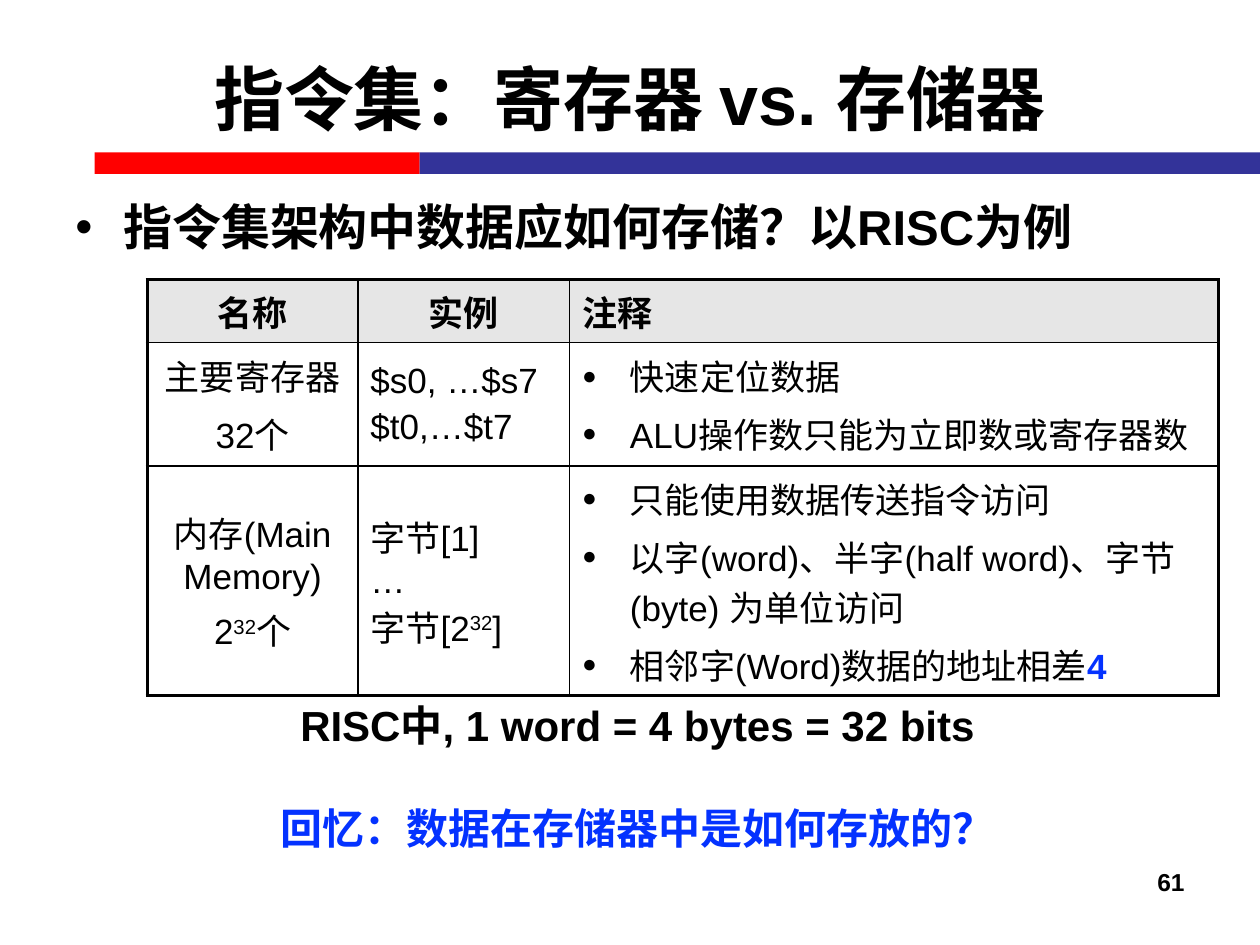
"""Build the slide on registers and memory in an instruction set."""
import pptx
import pptx.chart.data
import pptx.dml.color
import pptx.enum.shapes
import pptx.enum.text
import pptx.util
from lxml import etree

BLACK, BLUE, GREY = "000000", "0432FF", "E6E6E6"
WIDTH, HEIGHT = 10, 7.5
MARGIN, INDENT = 0.5, 0.38
LEFT, CENTER, RIGHT = (pptx.enum.text.PP_ALIGN.LEFT, pptx.enum.text.PP_ALIGN.CENTER,
                       pptx.enum.text.PP_ALIGN.RIGHT)
DRAWING = "http://schemas.openxmlformats.org/drawingml/2006/main"

TITLE = "指令集：寄存器 vs. 存储器"
QUESTION = "指令集架构中数据应如何存储？以RISC为例"
BAR_TOP, BAR_HEIGHT, BAR_START = 1.21, 0.17, 0.75
BARS = [("FF0000", 2.58), ("333399", 6.67)]

POWER = ("32", {"raised": True})
STORAGE = [
    [["名称"], ["实例"], ["注释"]],
    [["主要寄存器", "32个"],
     ["$s0, …$s7", "$t0,…$t7"],
     ["快速定位数据", "ALU操作数只能为立即数或寄存器数"]],
    [["内存(Main Memory)", ["2", POWER, "个"]],
     ["字节[1]", "…", ["字节[2", POWER, "]"]],
     ["只能使用数据传送指令访问",
      "以字(word)、半字(half word)、字节(byte) 为单位访问",
      ["相邻字(Word)数据的地址相差", ("4", {"color": BLUE, "bold": True})]]],
]
COLUMNS, ROWS = [1.67, 1.68, 5.15], [0.5, 0.98, 1.82]
TABLE_LEFT, TABLE_TOP = 1.17, 2.22
OUTER, INNER = 2.25, 1

NOTES = [
    ("RISC中, 1 word = 4 bytes = 32 bits", (TABLE_LEFT, 5.5, 7.78, 0.5), 24, BLACK, CENTER),
    ("回忆：数据在存储器中是如何存放的？", (TABLE_LEFT, 6.32, 7.78, 0.5), 24, BLUE, CENTER),
    ("61", (7.17, 6.83, 2.33, 0.52), 14, BLACK, RIGHT),
]


def inches(*lengths):
    """Convert lengths to slide units."""
    return [pptx.util.Inches(length) for length in lengths]


def rgb(color):
    """Turn a hex string into a colour."""
    return pptx.dml.color.RGBColor.from_string(color)


def add_bullet(paragraph, char, percent):
    """Give a paragraph a hanging bullet."""
    properties = paragraph._p.get_or_add_pPr()
    indent = inches(INDENT)[0]
    properties.set("marL", str(indent))
    properties.set("indent", str(-indent))
    color = etree.SubElement(properties, f"{{{DRAWING}}}buClr")
    etree.SubElement(color, f"{{{DRAWING}}}srgbClr", val=BLACK)
    etree.SubElement(properties, f"{{{DRAWING}}}buSzPct", val=str(percent * 1000))
    etree.SubElement(properties, f"{{{DRAWING}}}buFont", typeface="Arial")
    etree.SubElement(properties, f"{{{DRAWING}}}buChar", char=char)


def write(frame, paragraphs, size=20, color=BLACK, bold=False, align=LEFT,
          bullet=None, percent=100, before=0, spacing=None):
    """Fill a text frame with formatted paragraphs."""
    frame.word_wrap = True
    for index, content in enumerate(paragraphs):
        paragraph = frame.add_paragraph() if index else frame.paragraphs[0]
        paragraph.alignment = align
        if bullet:
            add_bullet(paragraph, bullet, percent)
        if index and before:
            paragraph.space_before = pptx.util.Pt(before)
        if spacing:
            paragraph.line_spacing = spacing
        for part in [content] if isinstance(content, str) else content:
            text, special = (part, {}) if isinstance(part, str) else part
            run = paragraph.add_run()
            run.text = text
            run.font.name = "Arial"
            run.font.size = pptx.util.Pt(size)
            run.font.bold = special.get("bold", bold)
            run.font.color.rgb = rgb(special.get("color", color))
            if special.get("raised"):
                run.font._element.set("baseline", "30000")


def add_borders(cell, widths):
    """Draw the left, right, top and bottom lines of a cell."""
    properties = cell._tc.get_or_add_tcPr()
    for side, width in zip("LRTB", widths):
        line = etree.SubElement(properties, f"{{{DRAWING}}}ln{side}",
                                w=str(pptx.util.Pt(width)))
        fill = etree.SubElement(line, f"{{{DRAWING}}}solidFill")
        etree.SubElement(fill, f"{{{DRAWING}}}srgbClr", val=BLACK)


def add_storage_table(slide):
    """Add the table comparing registers and memory."""
    last_row, last_column = len(ROWS) - 1, len(COLUMNS) - 1
    table = slide.shapes.add_table(
        len(ROWS), len(COLUMNS),
        *inches(TABLE_LEFT, TABLE_TOP, sum(COLUMNS), sum(ROWS))).table
    table.first_row = table.horz_banding = False
    for column, width in zip(table.columns, inches(*COLUMNS)):
        column.width = width
    for row, height in zip(table.rows, inches(*ROWS)):
        row.height = height
    for r, row in enumerate(STORAGE):
        for c, paragraphs in enumerate(row):
            cell, header = table.cell(r, c), r == 0
            edges = (c == 0, c == last_column, r == 0, r == last_row)
            add_borders(cell, [OUTER if edge else INNER for edge in edges])
            cell.vertical_anchor = pptx.enum.text.MSO_ANCHOR.MIDDLE
            if header:
                cell.fill.solid()
                cell.fill.fore_color.rgb = rgb(GREY)
            else:
                cell.fill.background()
            centered = c == 0 or (header and c < last_column)
            listed = c == last_column and not header
            write(cell.text_frame, paragraphs, bold=header,
                  align=CENTER if centered else LEFT,
                  bullet="●" if listed else None, percent=70,
                  before=0 if (r, c) == (2, 1) else 4)


def main():
    """Build and save the slide."""
    deck = pptx.Presentation()
    deck.slide_width, deck.slide_height = inches(WIDTH, HEIGHT)
    slide = deck.slides.add_slide(deck.slide_layouts[5])

    bar_left = BAR_START
    for color, width in BARS:
        bar = slide.shapes.add_shape(pptx.enum.shapes.MSO_SHAPE.RECTANGLE,
                                     *inches(bar_left, BAR_TOP, width, BAR_HEIGHT))
        bar.shadow.inherit = False
        bar.fill.solid()
        bar.fill.fore_color.rgb = rgb(color)
        bar.line.fill.background()
        bar_left += width

    title = slide.shapes.title
    title.left, title.top, title.width, title.height = inches(
        MARGIN, 0.15, WIDTH - 2 * MARGIN, 1.25)
    title.text_frame.vertical_anchor = pptx.enum.text.MSO_ANCHOR.MIDDLE
    write(title.text_frame, [TITLE], size=40, bold=True, align=CENTER)

    question = slide.shapes.add_textbox(*inches(MARGIN, 1.28, WIDTH - 2 * MARGIN, 0.9))
    write(question.text_frame, [QUESTION], size=28, bold=True, bullet="•", spacing=1.5)

    add_storage_table(slide)
    for text, place, size, color, align in NOTES:
        note = slide.shapes.add_textbox(*inches(*place))
        write(note.text_frame, [text], size=size, color=color, bold=True, align=align)
    deck.save("out.pptx")


if __name__ == "__main__":
    main()
